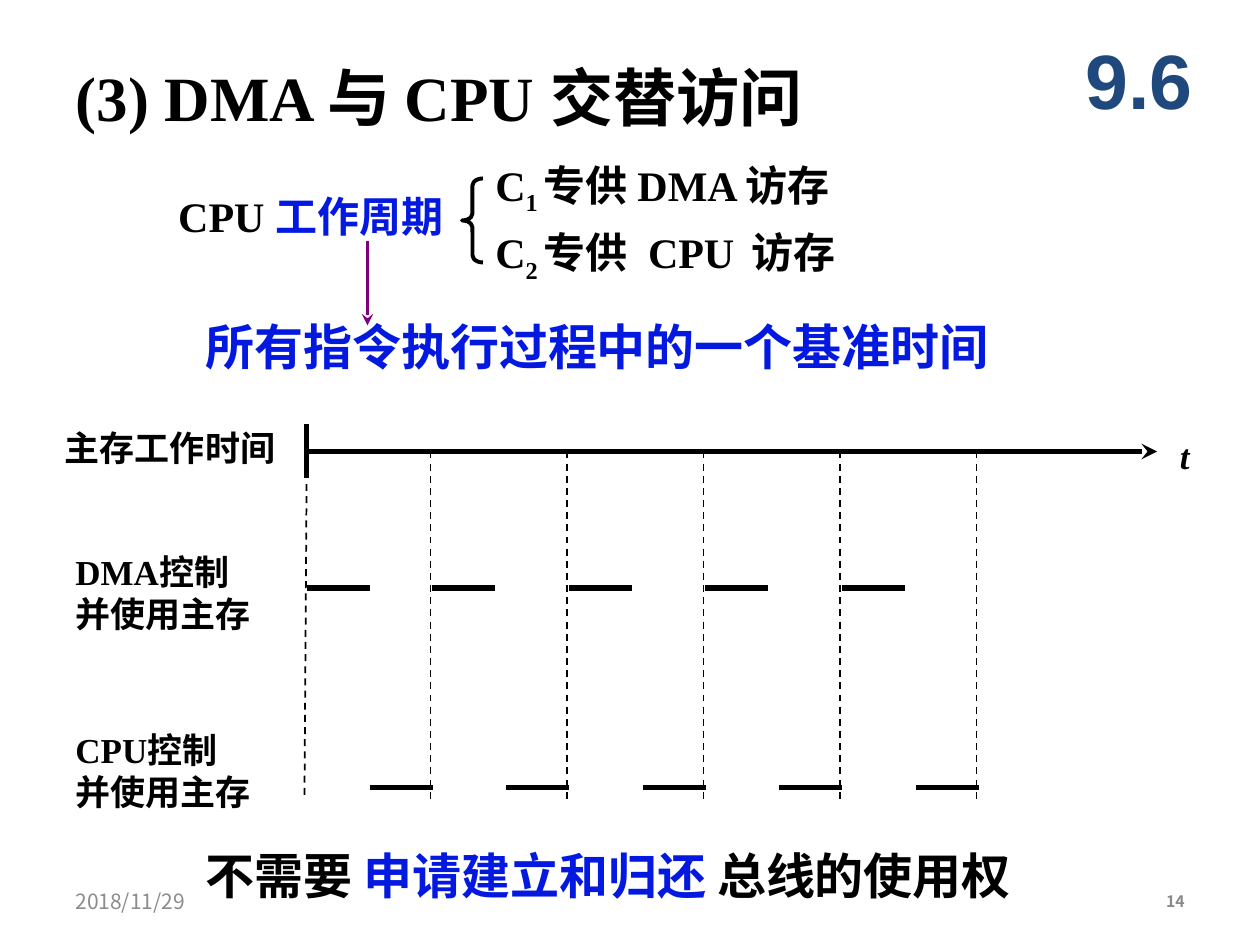
from dataclasses import dataclass

from lxml.etree import SubElement
from pptx import Presentation
from pptx.dml.color import RGBColor
from pptx.enum.dml import MSO_LINE
from pptx.enum.shapes import MSO_CONNECTOR, MSO_SHAPE
from pptx.enum.text import MSO_ANCHOR, MSO_AUTO_SIZE, PP_ALIGN
from pptx.oxml.ns import qn
from pptx.util import Inches, Pt


@dataclass(frozen=True)
class Theme:
    serif: str = "Times New Roman"
    sans: str = "Arial"
    chinese: str = "Noto Sans CJK SC"
    black: str = "000000"
    blue: str = "0419E0"
    purple: str = "800080"
    navy: str = "1F497D"
    date_gray: str = "8C8C8C"
    number_gray: str = "898989"
    section_size: int = 44
    title_size: int = 36
    statement_size: int = 28
    body_size: int = 24
    label_size: int = 20
    date_size: int = 12
    number_size: int = 9
    thick: float = 3
    medium: float = 2.25
    thin: float = 1


THEME = Theme()
COLUMNS, ROWS = 120, 90
WIDTH, HEIGHT = Inches(10), Inches(7.5)
PERIOD = 13
BAR = 6
START = 29.2
AXIS_ROW, DMA_ROW, CPU_ROW = 43, 56, 75
BOUNDARIES = [41 + PERIOD * index for index in range(5)]


def across(columns):
    return round(WIDTH * columns / COLUMNS)


def down(rows):
    return round(HEIGHT * rows / ROWS)


def grid_box(left, top, width, height):
    return across(left), down(top), across(width), down(height)


def format_run(run, size, color=THEME.black, font=THEME.serif, bold=True,
               italic=False, baseline=0, spacing=0):
    run.font.size = Pt(size)
    run.font.name = font
    run.font.bold = bold
    run.font.italic = italic
    run.font.color.rgb = RGBColor.from_string(color)
    properties = run._r.get_or_add_rPr()
    SubElement(properties, qn("a:ea")).set("typeface", THEME.chinese)
    if baseline:
        properties.set("baseline", str(baseline * 1000))
    if spacing:
        properties.set("spc", str(spacing * 100))


def fill_paragraph(paragraph, pieces, size, align=PP_ALIGN.LEFT, **style):
    paragraph.alignment = align
    for text, changes in pieces:
        run = paragraph.add_run()
        run.text = text
        format_run(run, size, **{**style, **changes})


def add_text(slide, box, lines, size, wrap=True, anchor=MSO_ANCHOR.TOP, **style):
    frame = slide.shapes.add_textbox(*grid_box(*box)).text_frame
    frame.word_wrap = wrap
    frame.vertical_anchor = anchor
    for index, pieces in enumerate(lines):
        paragraph = frame.add_paragraph() if index else frame.paragraphs[0]
        fill_paragraph(paragraph, pieces, size, **style)


def add_title(slide, text):
    title = slide.shapes.title
    title.left, title.top, title.width, title.height = grid_box(6, 5, 83, 8.4)
    frame = title.text_frame
    frame.auto_size = MSO_AUTO_SIZE.NONE
    frame.word_wrap = True
    frame.vertical_anchor = MSO_ANCHOR.TOP
    fill_paragraph(frame.paragraphs[0], [(text, {})], THEME.title_size)


def add_line(slide, start, end, weight, color=THEME.black, dashed=False, arrow=False):
    line = slide.shapes.add_connector(
        MSO_CONNECTOR.STRAIGHT,
        across(start[0]), down(start[1]), across(end[0]), down(end[1]))
    line.line.color.rgb = RGBColor.from_string(color)
    line.line.width = Pt(weight)
    if dashed:
        line.line.dash_style = MSO_LINE.DASH
    if arrow:
        SubElement(line.line._get_or_add_ln(), qn("a:tailEnd")).set("type", "stealth")
    SubElement(line._element.spPr, qn("a:effectLst"))


def add_brace(slide):
    brace = slide.shapes.add_shape(MSO_SHAPE.LEFT_BRACE, *grid_box(44, 17, 2, 8))
    brace.adjustments[0] = 0.33
    brace.fill.background()
    brace.line.color.rgb = RGBColor.from_string(THEME.black)
    brace.line.width = Pt(THEME.medium)
    brace.shadow.inherit = False


def add_cycle_definition(slide):
    size = THEME.body_size
    add_text(slide, (15.8, 17.6, 30.2, 6),
             [[("CPU ", {}), ("工作周期", {"color": THEME.blue})]], size)
    add_text(slide, (46, 14.6, 53, 6),
             [[("C", {}), ("1 ", {"baseline": -25}), ("专供 DMA 访存", {})]], size)
    add_text(slide, (46, 21, 46, 6),
             [[("C", {}), ("2 ", {"baseline": -25}), ("专供", {}),
               (" ", {"spacing": 6}), ("CPU", {}), (" ", {"spacing": 4}),
               ("访存", {})]], size)
    add_brace(slide)
    add_text(slide, (18.4, 29.6, 91.2, 6.8),
             [[("所有指令执行过程中的一个基准时间", {})]],
             THEME.statement_size, color=THEME.blue)
    add_line(slide, (35, 23), (35, 31), THEME.medium, THEME.purple, arrow=True)


def add_timing_diagram(slide):
    labels = [((5, 40, 22.6, 5.2), ["主存工作时间"]),
              ((6, 51.8, 19.2, 9.2), ["DMA控制", "并使用主存"]),
              ((6, 68.8, 19.2, 9.2), ["CPU控制", "并使用主存"])]
    for box, lines in labels:
        add_text(slide, box, [[(line, {})] for line in lines],
                 THEME.label_size, wrap=False)
    add_text(slide, (111.2, 40.8, 3.4, 5.2), [[("t", {})]],
             THEME.label_size, wrap=False, italic=True)

    add_line(slide, (START, 40.4), (START, 45.5), THEME.thick)
    add_line(slide, (START, AXIS_ROW), (110.2, AXIS_ROW), THEME.thick, arrow=True)
    add_line(slide, (START, 46.1), (29, 75.8), THEME.thin, dashed=True)
    for boundary in BOUNDARIES:
        add_line(slide, (boundary, AXIS_ROW), (boundary, 76.1), THEME.thin, dashed=True)

    dma_starts = [START] + [boundary + 0.15 for boundary in BOUNDARIES[:-1]]
    cpu_starts = [boundary + 0.2 - BAR for boundary in BOUNDARIES]
    for row, starts in ((DMA_ROW, dma_starts), (CPU_ROW, cpu_starts)):
        for start in starts:
            add_line(slide, (start, row), (start + BAR, row), THEME.thick)


def add_footer(slide):
    add_text(slide, (6, 83.4, 28, 4.8), [[("2018/11/29", {})]], THEME.date_size,
             anchor=MSO_ANCHOR.MIDDLE, font=THEME.chinese,
             color=THEME.date_gray, bold=False)
    add_text(slide, (86, 83.4, 28, 4.8), [[("14", {})]], THEME.number_size,
             anchor=MSO_ANCHOR.MIDDLE, align=PP_ALIGN.RIGHT,
             font=THEME.chinese, color=THEME.number_gray)


def main():
    presentation = Presentation()
    presentation.slide_width, presentation.slide_height = WIDTH, HEIGHT
    slide = presentation.slides.add_slide(presentation.slide_layouts[5])
    add_title(slide, "(3) DMA 与 CPU 交替访问")
    add_timing_diagram(slide)
    add_cycle_definition(slide)
    add_text(slide, (101, 2, 15, 11), [[("9.6", {})]], THEME.section_size,
             anchor=MSO_ANCHOR.MIDDLE, align=PP_ALIGN.CENTER,
             font=THEME.sans, color=THEME.navy)
    add_text(slide, (18.4, 79.9, 96.4, 6.8),
             [[("不需要 ", {}), ("申请建立和归还 ", {"color": THEME.blue}),
               ("总线的使用权", {})]], THEME.statement_size)
    add_footer(slide)
    presentation.save("out.pptx")


if __name__ == "__main__":
    main()
